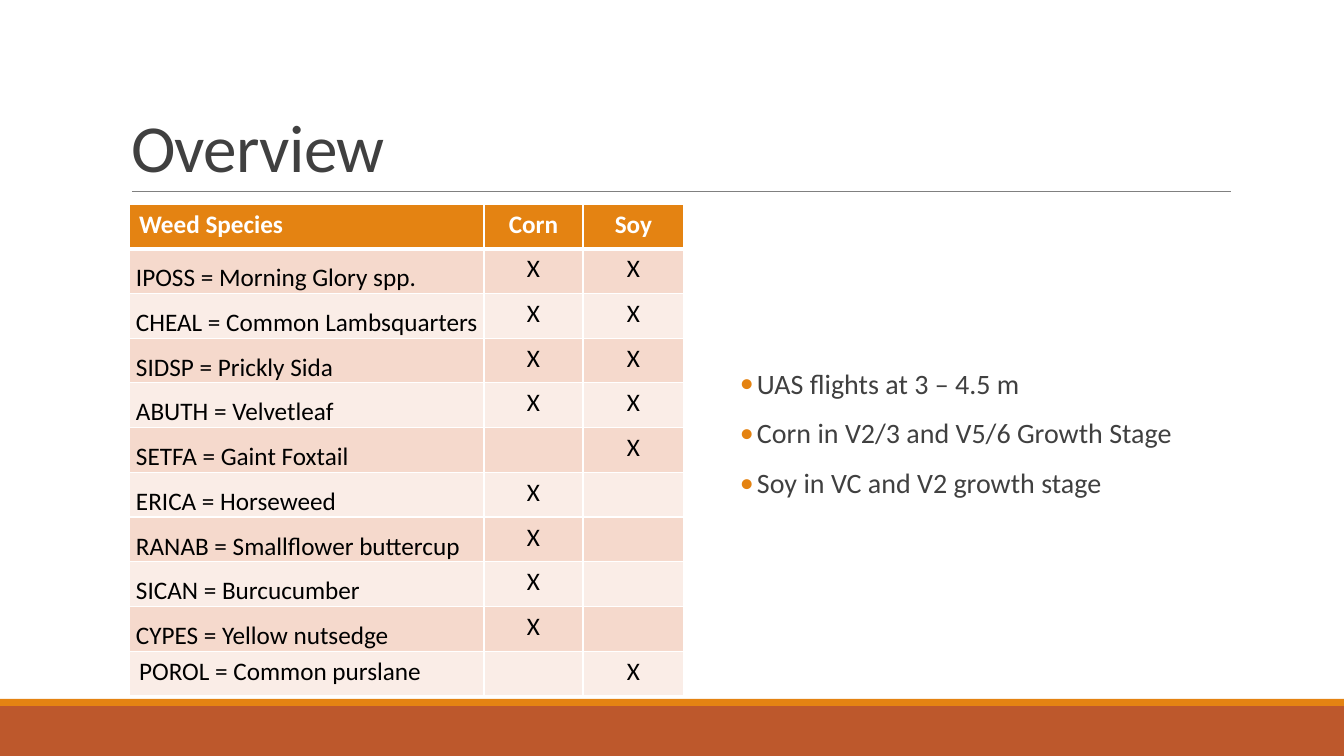
"""Build the Overview slide: weed species by crop, with flight notes."""
import pptx
import pptx.util
import pptx.dml.color
import pptx.enum.shapes
import pptx.enum.text
import pptx.oxml
import pptx.oxml.ns
from dataclasses import dataclass

TITLE = "Overview"
HEADS = ("Weed Species", "Corn", "Soy")
WEEDS = (
    ("IPOSS = Morning Glory spp.", "X", "X"),
    ("CHEAL = Common Lambsquarters", "X", "X"),
    ("SIDSP = Prickly Sida", "X", "X"),
    ("ABUTH = Velvetleaf", "X", "X"),
    ("SETFA = Gaint Foxtail", "", "X"),
    ("ERICA = Horseweed", "X", ""),
    ("RANAB = Smallflower buttercup", "X", ""),
    ("SICAN = Burcucumber", "X", ""),
    ("CYPES = Yellow nutsedge", "X", ""),
    ("POROL = Common purslane", "", "X"),
)
NOTES = (
    "UAS flights at 3 – 4.5 m",
    "Corn in V2/3 and V5/6 Growth Stage",
    "Soy in VC and V2 growth stage",
)
WIDTH, HEIGHT = 1344, 756
COLS = (355, 99, 101)
TABLE = (129, 204, sum(COLS), 492)


@dataclass(frozen=True)
class Theme:
    """Colours, font and type sizes."""
    font: str = "Calibri"
    orange: str = "E48312"
    rust: str = "BD582C"
    bands: tuple = ("F5D9CC", "FAEDE7")
    white: str = "FFFFFF"
    black: str = "000000"
    ink: str = "404040"
    rule: str = "808080"
    title: int = 48
    cell: int = 18
    note: int = 20


LOOK = Theme()
Pt = pptx.util.Pt
ALIGN = pptx.enum.text.PP_ALIGN
ANCHOR = pptx.enum.text.MSO_ANCHOR


def px(num):
    """Turn px into EMU."""
    return pptx.util.Emu(round(num * 12192000 / WIDTH))


def rgb(code):
    """Turn a hex code into a colour."""
    return pptx.dml.color.RGBColor.from_string(code)


def xml(text):
    """Parse one drawing element."""
    head, tail = text.split(" ", 1)
    return pptx.oxml.parse_xml(f"{head} {pptx.oxml.ns.nsdecls('a')} {tail}")


def style(para, size, color, bold=False):
    """Format the runs of a paragraph."""
    for run in para.runs:
        font = run.font
        font.name, font.size, font.bold = LOOK.font, Pt(size), bold
        font.color.rgb = rgb(color)


def bar(slide, top, high, color):
    """Draw a full-width bar."""
    shape = slide.shapes.add_shape(
        pptx.enum.shapes.MSO_SHAPE.RECTANGLE, 0, px(top), px(WIDTH), px(high))
    shape.shadow.inherit = False
    shape.fill.solid()
    shape.fill.fore_color.rgb = rgb(color)
    shape.line.fill.background()


def rule(slide):
    """Draw the line under the title."""
    line = slide.shapes.add_connector(
        pptx.enum.shapes.MSO_CONNECTOR.STRAIGHT, px(132), px(191), px(1231), px(191))
    line.line.color.rgb = rgb(LOOK.rule)
    line.line.width = Pt(0.5)
    line._element.spPr.append(xml("<a:effectLst />"))


def title(slide):
    """Place and format the title."""
    shape = slide.shapes.title
    shape.left, shape.top, shape.width, shape.height = map(px, (121, 31, 1109, 160))
    frame = shape.text_frame
    frame.text = TITLE
    frame.auto_size = pptx.enum.text.MSO_AUTO_SIZE.NONE
    frame.vertical_anchor = ANCHOR.BOTTOM
    para = frame.paragraphs[0]
    para.alignment, para.line_spacing = ALIGN.LEFT, 0.85
    style(para, LOOK.title, LOOK.ink)
    para.runs[0].font._element.set("spc", "-50")


def border(cell, row):
    """Give a cell white borders, thick below the header."""
    props = cell._tc.get_or_add_tcPr()
    thick = {("B", 0), ("T", 1)}
    for side in "LRTB":
        wide = Pt(3 if (side, row) in thick else 1)
        props.append(xml(
            f'<a:ln{side} w="{wide}"><a:solidFill><a:srgbClr val="{LOOK.white}"/>'
            f'</a:solidFill></a:ln{side}>'.replace(" w=", " w=", 1)))


def table(slide):
    """Draw the table of species."""
    rows = (HEADS,) + WEEDS
    grid = slide.shapes.add_table(len(rows), len(COLS), *map(px, TABLE)).table
    for col, wide in zip(grid.columns, COLS):
        col.width = px(wide)
    for r, row in enumerate(rows):
        grid.rows[r].height = px(TABLE[3] / len(rows))
        for c, text in enumerate(row):
            cell = grid.cell(r, c)
            border(cell, r)
            cell.fill.solid()
            cell.fill.fore_color.rgb = rgb(LOOK.bands[(r - 1) % 2] if r else LOOK.orange)
            cell.text_frame.text = text
            para = cell.text_frame.paragraphs[0]
            para.alignment = ALIGN.CENTER if c else ALIGN.LEFT
            style(para, LOOK.cell, LOOK.black if r else LOOK.white, r == 0)
            if c == 0 and 0 < r < len(WEEDS):
                cell.vertical_anchor = ANCHOR.BOTTOM
                cell.margin_left = px(7)
                cell.margin_right = cell.margin_top = px(1)
                cell.margin_bottom = 0


def notes(slide):
    """Write the bulleted flight notes."""
    frame = slide.shapes.add_textbox(*map(px, (740, 365, 520, 143))).text_frame
    frame.word_wrap = True
    frame.margin_left = frame.margin_right = 0
    frame.text = "\n".join(NOTES)
    for i, para in enumerate(frame.paragraphs):
        para.line_spacing, para.space_after = 0.9, Pt(2)
        para.space_before = Pt(12 if i else 0)
        props = para._p.get_or_add_pPr()
        props.set("marL", str(px(17)))
        props.set("indent", str(-px(17)))
        props.append(xml(f'<a:buClr ><a:srgbClr val="{LOOK.orange}"/></a:buClr>'))
        props.append(xml(f'<a:buFont typeface="{LOOK.font}"/>'))
        props.append(xml('<a:buChar char="•"/>'))
        style(para, LOOK.note, LOOK.ink)


def main():
    """Build and save the slide."""
    deck = pptx.Presentation()
    deck.slide_width, deck.slide_height = px(WIDTH), px(HEIGHT)
    slide = deck.slides.add_slide(deck.slide_layouts[5])
    bar(slide, 706, 50, LOOK.rust)
    bar(slide, 699, 7, LOOK.orange)
    rule(slide)
    title(slide)
    table(slide)
    notes(slide)
    deck.save("out.pptx")


if __name__ == "__main__":
    main()
